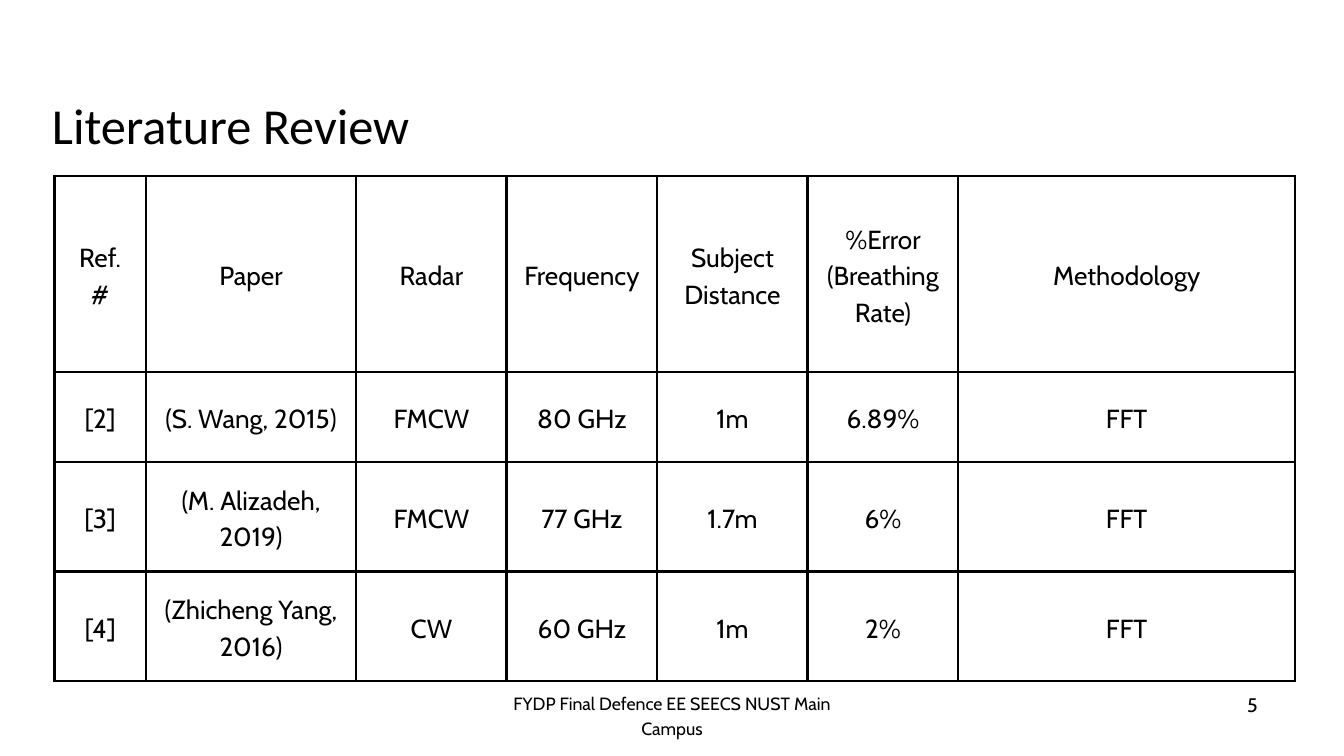
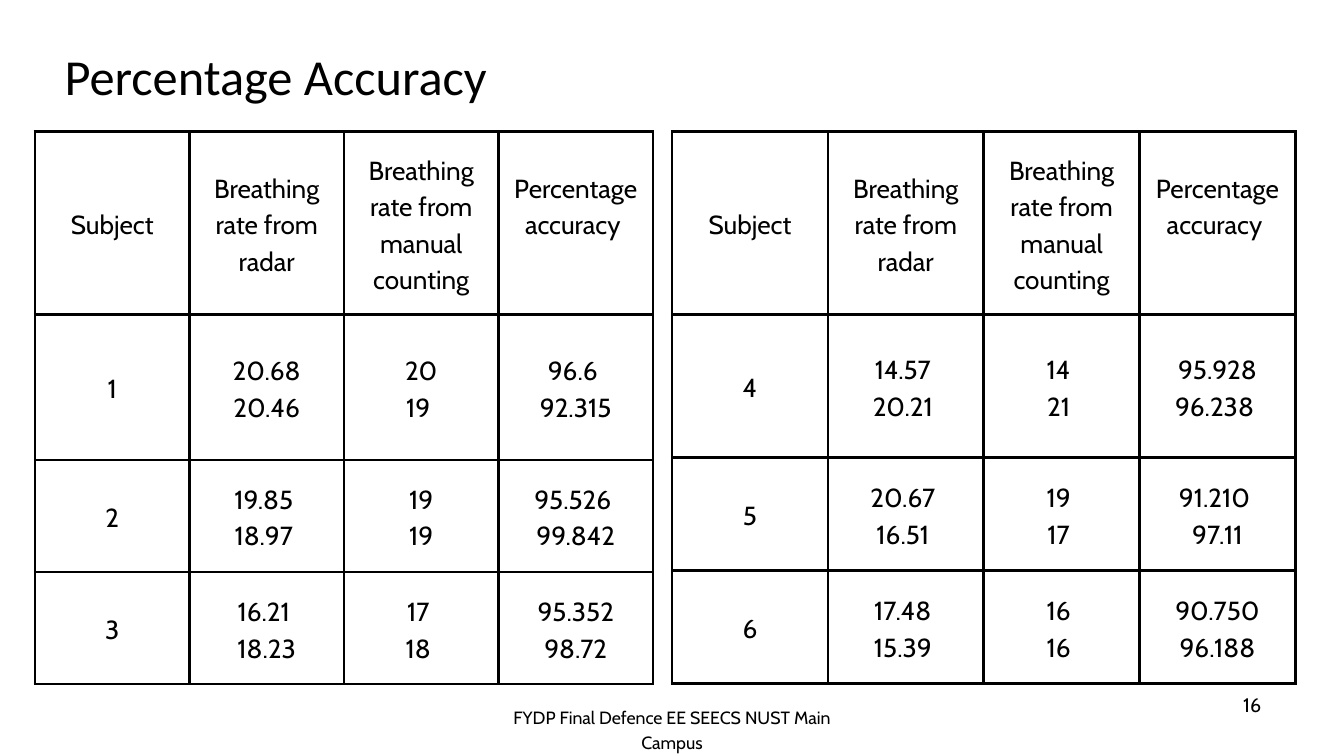
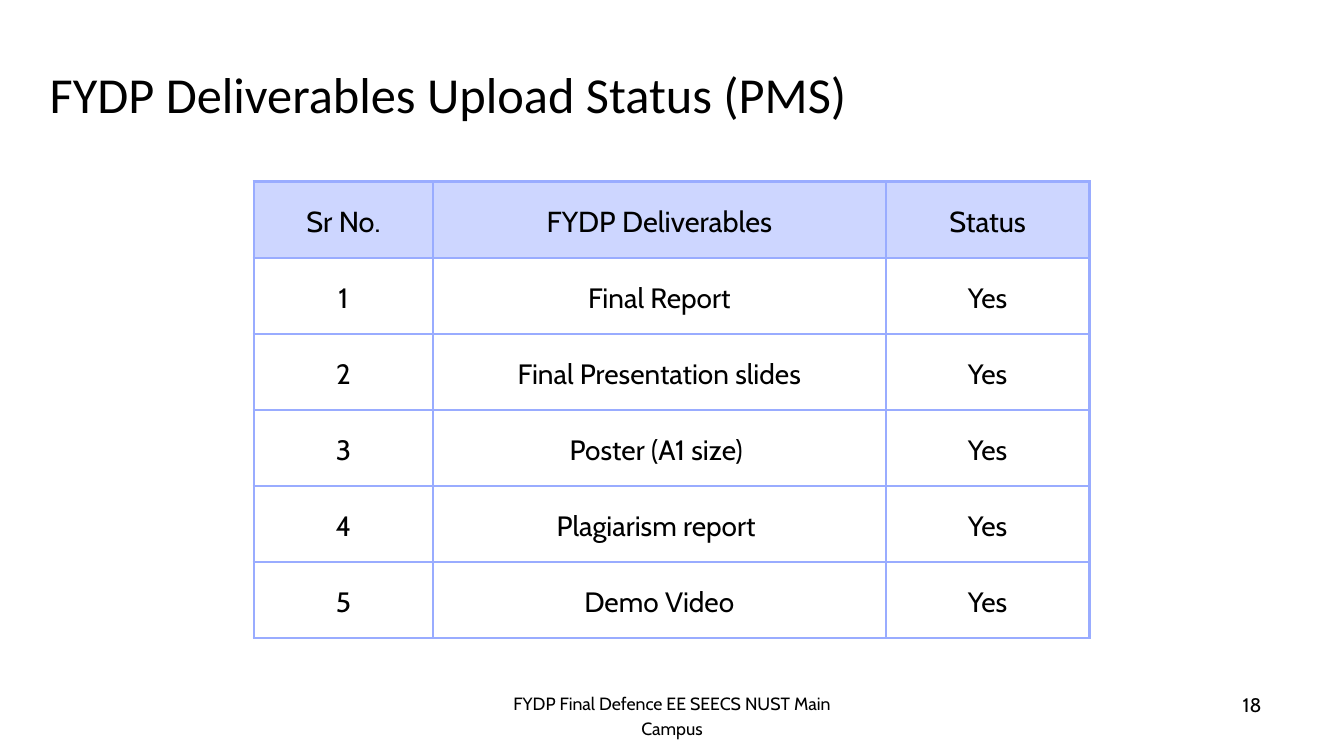
"""Build three project defence slides of titled tables."""
from dataclasses import dataclass

from lxml import etree
from pptx import Presentation
from pptx.dml.color import RGBColor
from pptx.enum import text as t
from pptx.oxml import ns
from pptx.util import Cm, Pt


@dataclass(frozen=True)
class Theme:
    """Colours, fonts and type sizes of the deck."""
    ink: str = "000000"
    rule: str = "99ACFF"
    tint: str = "CDD6FF"
    head: str = "Calibri"
    body: str = "Cabin"
    title: float = 54
    lead: float = 63.2
    pitch: float = 1.4
    foot: float = 19
    num: float = 21
    cell: float = 28
    top: float = 31
    list: float = 30
    line: float = 3
    pad: float = 0.53


@dataclass(frozen=True)
class Grid:
    """A table: place, column widths and row heights in centimetres, and text."""
    left: float
    top: float
    cols: list[float]
    rows: list[float]
    data: list[list[str]]
    edge: str
    sizes: tuple[float, float]
    fill: str | None = None
    lift: int | None = None


@dataclass(frozen=True)
class Page:
    """A slide: title, its place and width, number, footer top and tables."""
    title: str
    left: float
    top: float
    width: float
    num: int
    grids: list[Grid]
    foot: float = 26.06


LOOK = Theme()
FOOT = "FYDP Final Defence EE SEECS NUST Main Campus"
RATES = ["Subject", "Breathing rate from radar",
         "Breathing rate from manual counting", "Percentage accuracy "]

PAPERS = Grid(
    2.06, 6.65, [3.45, 7.95] + [5.69] * 4 + [12.73], [7.42, 3.4, 4.14, 4.14],
    [["Ref. #", "Paper", "Radar", "Frequency", "Subject Distance",
      "%Error (Breathing Rate)", "Methodology"],
     ["[2]", "(S. Wang, 2015)", "FMCW", "80 GHz", "1m", "6.89%", "FFT"],
     ["[3]", "(M. Alizadeh, 2019)", "FMCW", "77 GHz", "1.7m", "6%", "FFT"],
     ["[4]", "(Zhicheng Yang, 2016)", "CW", "60 GHz", "1m", "2%", "FFT"]],
    LOOK.ink, (LOOK.cell, LOOK.cell))

FIRST = Grid(
    1.32, 4.98, [5.84] * 4, [6.91, 5.49, 4.24, 4.24],
    [RATES,
     ["1", "20.68\n20.46", "20\n19 ", "96.6 \n92.315"],
     ["2", "19.85 \n18.97 ", "19\n19", "95.526 \n99.842"],
     ["3", "16.21 \n18.23", "17 \n18 ", "95.352\n98.72"]],
    LOOK.ink, (LOOK.cell, LOOK.cell), lift=3)

SECOND = Grid(
    25.4, 4.98, [5.89] * 4, [6.91, 5.41, 4.27, 4.27],
    [RATES,
     ["4", "14.57 \n20.21 ", "14 \n21 ", "95.928\n96.238 "],
     ["5", "20.67 \n16.51 ", "19 \n17 ", "91.210 \n97.11"],
     ["6", "17.48 \n15.39 ", "16 \n16 ", "90.750\n96.188"]],
    LOOK.ink, (LOOK.cell, LOOK.cell), lift=3)

ITEMS = ["Final Report", "Final Presentation slides", "Poster (A1 size) ",
         "Plagiarism report ", "Demo Video"]
STATUS = Grid(
    9.6, 6.86, [6.76, 17.12, 7.7], [2.9] + [2.87] * 5,
    [["Sr No.", "FYDP Deliverables", "Status"]]
    + [[str(n), item, "Yes"] for n, item in enumerate(ITEMS, 1)],
    LOOK.rule, (LOOK.top, LOOK.list), fill=LOOK.tint)

PAGES = [
    Page("Literature Review", 1.96, 3.61, 20.96, 5, [PAPERS]),
    Page("Percentage Accuracy", 2.44, 1.78, 25.58, 16, [FIRST, SECOND], 26.59),
    Page("FYDP Deliverables Upload Status (PMS)", 1.88, 2.46, 43.43, 18, [STATUS]),
]


def style(frame, size: float, font: str = LOOK.body, lead: float | None = None,
          align=t.PP_ALIGN.CENTER) -> None:
    """Set the font, spacing and alignment of every paragraph."""
    for para in frame.paragraphs:
        para.alignment = align
        para.line_spacing = Pt(lead or size * LOOK.pitch)
        para.font.name = font
        para.font.size = Pt(size)
        para.font.bold = False
        para.font.color.rgb = RGBColor.from_string(LOOK.ink)


def fit(frame, wrap: bool = True) -> None:
    """Clear the insets and let the box grow with its text."""
    frame.margin_left = frame.margin_right = 0
    frame.margin_top = frame.margin_bottom = 0
    frame.vertical_anchor = t.MSO_ANCHOR.TOP
    frame.word_wrap = wrap
    frame.auto_size = t.MSO_AUTO_SIZE.SHAPE_TO_FIT_TEXT


def label(slide, words: str, left: float, top: float, width: float,
          height: float, size: float, wrap: bool = True) -> None:
    """Add a centred line of small text."""
    box = slide.shapes.add_textbox(Cm(left), Cm(top), Cm(width), Cm(height))
    frame = box.text_frame
    frame.text = words
    fit(frame, wrap)
    style(frame, size)


def frame_cell(cell, edge: str) -> None:
    """Draw the four borders of a cell."""
    props = cell._tc.get_or_add_tcPr()
    for side in "LRTB":
        line = etree.SubElement(props, ns.qn(f"a:ln{side}"), w=str(Pt(LOOK.line)))
        fill = etree.SubElement(line, ns.qn("a:solidFill"))
        etree.SubElement(fill, ns.qn("a:srgbClr"), val=edge)


def add_grid(slide, grid: Grid) -> None:
    """Add a bordered table with centred text."""
    table = slide.shapes.add_table(
        len(grid.rows), len(grid.cols), Cm(grid.left), Cm(grid.top),
        Cm(sum(grid.cols)), Cm(sum(grid.rows))).table
    table.first_row = table.horz_banding = False
    for col, width in zip(table.columns, grid.cols):
        col.width = Cm(width)
    for row, height in zip(table.rows, grid.rows):
        row.height = Cm(height)
    for r, words in enumerate(grid.data):
        size = grid.sizes[min(r, 1)]
        for c, word in enumerate(words):
            cell = table.cell(r, c)
            cell.text_frame.text = word
            cell.vertical_anchor = t.MSO_ANCHOR.MIDDLE
            cell.margin_left = cell.margin_right = Cm(LOOK.pad)
            cell.margin_top = cell.margin_bottom = Cm(LOOK.pad)
            if r == 0 and c == grid.lift:
                cell.margin_bottom = Cm(LOOK.pad) + Pt(size * LOOK.pitch)
            style(cell.text_frame, size)
            frame_cell(cell, grid.edge)
            if r == 0 and grid.fill:
                cell.fill.solid()
                cell.fill.fore_color.rgb = RGBColor.from_string(grid.fill)
            else:
                cell.fill.background()


def add_page(deck, page: Page) -> None:
    """Add one slide with its title, tables, footer and number."""
    slide = deck.slides.add_slide(deck.slide_layouts[5])
    title = slide.shapes.title
    title.left, title.top = Cm(page.left), Cm(page.top)
    title.width, title.height = Cm(page.width), Cm(2.26)
    title.text_frame.text = page.title
    fit(title.text_frame)
    style(title.text_frame, LOOK.title, LOOK.head, LOOK.lead, t.PP_ALIGN.LEFT)
    for grid in page.grids:
        add_grid(slide, grid)
    label(slide, FOOT, 18.72, page.foot, 13.36, 1.02, LOOK.foot)
    digits = str(page.num)
    width = 0.38 * len(digits)
    label(slide, digits, 47.33 - width / 2, 26.04, width, 1.12, LOOK.num, False)


def main() -> None:
    """Build and save the deck."""
    deck = Presentation()
    deck.slide_width, deck.slide_height = Cm(50.8), Cm(28.58)
    for page in PAGES:
        add_page(deck, page)
    deck.save("out.pptx")


if __name__ == "__main__":
    main()
